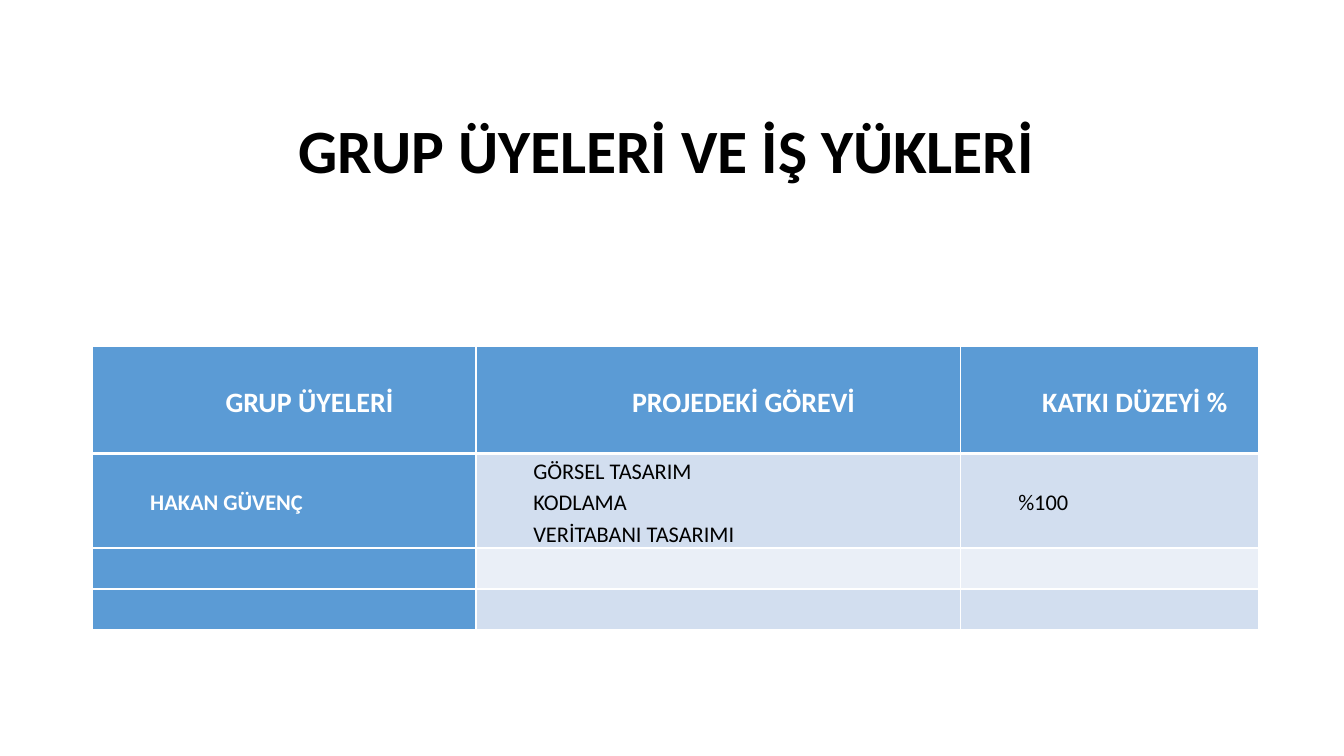
from collections import namedtuple
from dataclasses import dataclass

from lxml.etree import SubElement
from pptx import Presentation
from pptx.dml.color import RGBColor
from pptx.enum.text import MSO_ANCHOR as Anchor, MSO_AUTO_SIZE as AutoSize, PP_ALIGN as Align
from pptx.oxml.ns import qn
from pptx.util import Inches, Pt

Box = namedtuple("Box", "left top width height")


@dataclass(frozen=True)
class Theme:
    font: str = "Calibri"
    dark: str = "000000"
    light: str = "FFFFFF"
    accent: str = "5B9BD5"
    bands: tuple = ("D2DEEF", "EAEFF7")
    title_size: int = 44
    header_size: int = 20
    body_size: int = 16
    thin: int = 1
    thick: int = 3


THEME = Theme()
SLIDE_WIDTH, SLIDE_HEIGHT = 13.33, 7.5
TITLE = "GRUP ÜYELERİ VE İŞ YÜKLERİ"
TITLE_BOX = Box(2.77, 0.8, 7.69, 1.45)
TABLE_BOX = Box(0.92, 3.44, 11.56, 2.79)
COLUMN_WIDTHS = (3.8, 4.81, 2.95)
ROW_HEIGHTS = (1.06, 0.93, 0.4, 0.4)
WORKLOAD = (
    ("GRUP ÜYELERİ", "PROJEDEKİ GÖREVİ", "KATKI DÜZEYİ %"),
    ("HAKAN GÜVENÇ", "GÖRSEL TASARIM\nKODLAMA\nVERİTABANI TASARIMI", "%100"),
    ("", "", ""),
    ("", "", ""),
)


def write_text(frame, text, size, color, bold=False, align=Align.LEFT, spacing=1.0, indent=0):
    """Fill a text frame, one paragraph for each line of text."""
    frame.text = text
    for para in frame.paragraphs:
        para.alignment, para.line_spacing = align, spacing
        if indent:
            properties = para._p.get_or_add_pPr()
            properties.set("marL", str(Inches(indent)))
            properties.set("indent", "0")
        for span in para.runs:
            font = span.font
            font.name, font.size, font.bold = THEME.font, Pt(size), bold
            font.color.rgb = RGBColor.from_string(color)


def set_borders(cell, top, bottom):
    """Draw the four cell borders; call before the cell is filled."""
    properties = cell._tc.get_or_add_tcPr()
    widths = {"lnL": THEME.thin, "lnR": THEME.thin, "lnT": top, "lnB": bottom}
    for side, width in widths.items():
        line = SubElement(properties, qn(f"a:{side}"), w=str(Pt(width)))
        fill = SubElement(line, qn("a:solidFill"))
        SubElement(fill, qn("a:srgbClr"), val=THEME.light)


def add_title(slide, box):
    title = slide.shapes.title
    title.left, title.top, title.width, title.height = map(Inches, box)
    frame = title.text_frame
    frame.vertical_anchor = Anchor.MIDDLE
    frame.auto_size, frame.word_wrap = AutoSize.NONE, True
    write_text(frame, TITLE, THEME.title_size, THEME.dark, bold=True,
               align=Align.CENTER, spacing=0.9)


def format_cell(cell, text, row, column):
    is_header = row == 0
    is_accent = is_header or column == 0
    set_borders(cell, top=THEME.thick if row == 1 else THEME.thin,
                bottom=THEME.thick if is_header else THEME.thin)
    cell.fill.solid()
    color = THEME.accent if is_accent else THEME.bands[(row - 1) % 2]
    cell.fill.fore_color.rgb = RGBColor.from_string(color)
    if text:
        cell.vertical_anchor = Anchor.MIDDLE
        cell.margin_left = cell.margin_right = Inches(0.07)
        cell.margin_top = cell.margin_bottom = 0
        write_text(cell.text_frame, text,
                   THEME.header_size if is_header else THEME.body_size,
                   THEME.light if is_accent else THEME.dark, bold=is_accent,
                   align=Align.CENTER if is_header else Align.LEFT,
                   spacing=1.15, indent=0.5)


def add_workload_table(slide, box):
    table = slide.shapes.add_table(len(ROW_HEIGHTS), len(COLUMN_WIDTHS),
                                   *map(Inches, box)).table
    for column, share in zip(table.columns, COLUMN_WIDTHS):
        column.width = Inches(box.width * share / sum(COLUMN_WIDTHS))
    for row, share in zip(table.rows, ROW_HEIGHTS):
        row.height = Inches(box.height * share / sum(ROW_HEIGHTS))
    for row, texts in enumerate(WORKLOAD):
        for column, text in enumerate(texts):
            format_cell(table.cell(row, column), text, row, column)


def main():
    deck = Presentation()
    deck.slide_width, deck.slide_height = Inches(SLIDE_WIDTH), Inches(SLIDE_HEIGHT)
    title_only = deck.slide_layouts.get_by_name("Title Only")
    slide = deck.slides.add_slide(title_only)
    add_title(slide, TITLE_BOX)
    add_workload_table(slide, TABLE_BOX)
    deck.save("out.pptx")


if __name__ == "__main__":
    main()
